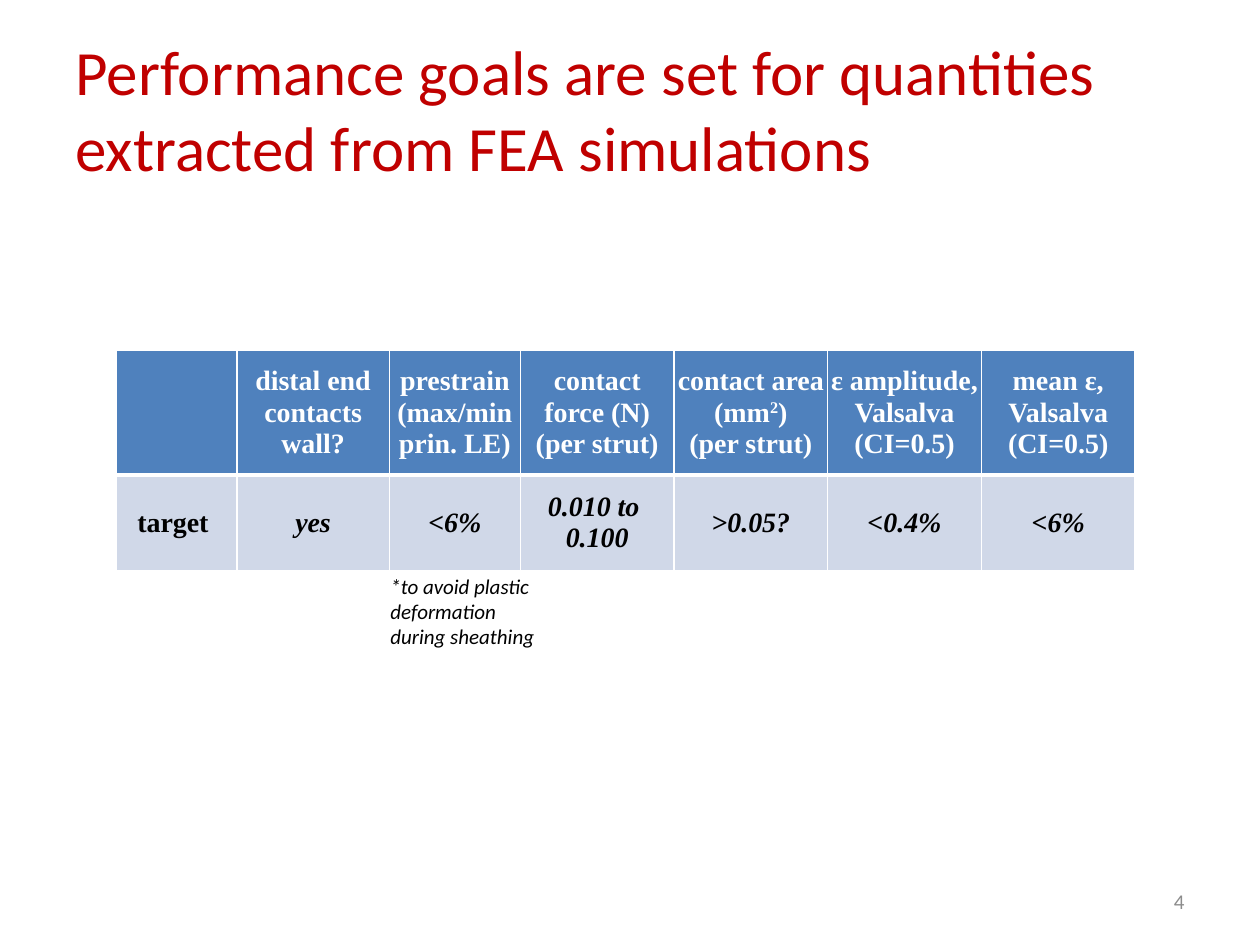
import copy
import pptx
import pptx.util
import pptx.dml.color
import pptx.enum.text
import pptx.oxml
import pptx.oxml.ns

title = "Performance goals are set for quantities extracted from FEA simulations"
rows = [
    ["", "distal end\ncontacts wall?", "prestrain (max/min prin. LE)",
     "contact force (N)\n(per strut)", "contact area (mm^2^)\n(per strut)",
     "ε amplitude, Valsalva (CI=0.5)", "mean ε, Valsalva (CI=0.5)"],
    ["target ", "yes", "<6%", "0.010 to \n0.100", ">0.05?", "<0.4%", "<6%"],
]
note = "*to avoid plastic deformation during sheathing"
page = "4"

cols = [0.96, 1.21, 1.04] + [1.22] * 4
highs = [0.99, 0.76]

sans, serif = "Calibri", "Times New Roman"
theme = {
    "title": {"name": sans, "size": 36, "color": "C00000"},
    "head": {"name": serif, "size": 16, "color": "FFFFFF", "bold": True},
    "label": {"name": serif, "size": 16, "color": "000000", "bold": True},
    "value": {"name": serif, "size": 16, "color": "000000", "bold": True, "italic": True},
    "note": {"name": sans, "size": 12, "color": "000000", "italic": True},
    "page": {"name": sans, "size": 12, "color": "8C8C8C"},
    "fills": ["4F81BD", "D0D8E8"],
    "rule": "FFFFFF",
}
Inches, Pt = pptx.util.Inches, pptx.util.Pt
RGB = pptx.dml.color.RGBColor.from_string
Align = pptx.enum.text.PP_ALIGN
Anchor = pptx.enum.text.MSO_ANCHOR
Auto = pptx.enum.text.MSO_AUTO_SIZE


def style(font, look):
    for key, val in look.items():
        if key == "color":
            font.color.rgb = RGB(val)
        else:
            setattr(font, key, Pt(val) if key == "size" else val)


def write(frame, text, look, align):
    para = frame.paragraphs[0]
    para.alignment = align
    for num, part in enumerate(text.split("^")):
        for row, line in enumerate(part.split("\n")):
            if row:
                para.add_line_break()
            if line:
                run = para.add_run()
                run.text = line
                style(run.font, look)
                if num % 2:
                    run.font._element.set("baseline", "30000")
    for gap in para._p.findall(pptx.oxml.ns.qn("a:br")):
        gap.append(copy.deepcopy(para.runs[0].font._element))


def box(shape, spot, text, look, align, anchor):
    shape.left, shape.top, shape.width, shape.height = map(Inches, spot)
    frame = shape.text_frame
    frame.word_wrap = True
    frame.auto_size = Auto.NONE
    frame.vertical_anchor = anchor
    write(frame, text, theme[look], align)


def edge(cell, side, width):
    cell._tc.get_or_add_tcPr().append(pptx.oxml.parse_xml(
        f'<a:ln{side} {pptx.oxml.ns.nsdecls("a")} w="{Pt(width)}"><a:solidFill>'
        f'<a:srgbClr val="{theme["rule"]}"/></a:solidFill></a:ln{side}>'))


deck = pptx.Presentation()
deck.slide_width, deck.slide_height = Inches(10), Inches(7.5)
slide = deck.slides.add_slide(deck.slide_layouts[5])
shapes = slide.shapes
box(shapes.title, (0.5, 0.47, 9, 0.78), title, "title", Align.LEFT, Anchor.MIDDLE)

grid = shapes.add_table(len(rows), len(cols), Inches(0.92), Inches(2.78),
                        Inches(sum(cols)), Inches(sum(highs))).table
for col, wide in zip(grid.columns, cols):
    col.width = Inches(wide)
for row, high in zip(grid.rows, highs):
    row.height = Inches(high)
for r, row in enumerate(rows):
    for c, text in enumerate(row):
        cell = grid.cell(r, c)
        for side in ("left", "top", "right", "bottom"):
            setattr(cell, "margin_" + side, 0)
        cell.vertical_anchor = Anchor.MIDDLE
        for side in "LRTB":
            thick = (r, side) in ((0, "B"), (1, "T"))
            edge(cell, side, 3 if thick else 1)
        cell.fill.solid()
        cell.fill.fore_color.rgb = RGB(theme["fills"][r])
        look = "head" if r == 0 else "value" if c else "label"
        if text:
            write(cell.text_frame, text, theme[look], Align.CENTER)

for spot, text, look, align, anchor in (
    ((7.17, 6.95, 2.33, 0.4), page, "page", Align.RIGHT, Anchor.MIDDLE),
    ((3, 4.5, 1.43, 0.91), note, "note", Align.LEFT, Anchor.TOP),
):
    box(shapes.add_textbox(0, 0, 0, 0), spot, text, look, align, anchor)

deck.save("out.pptx")
